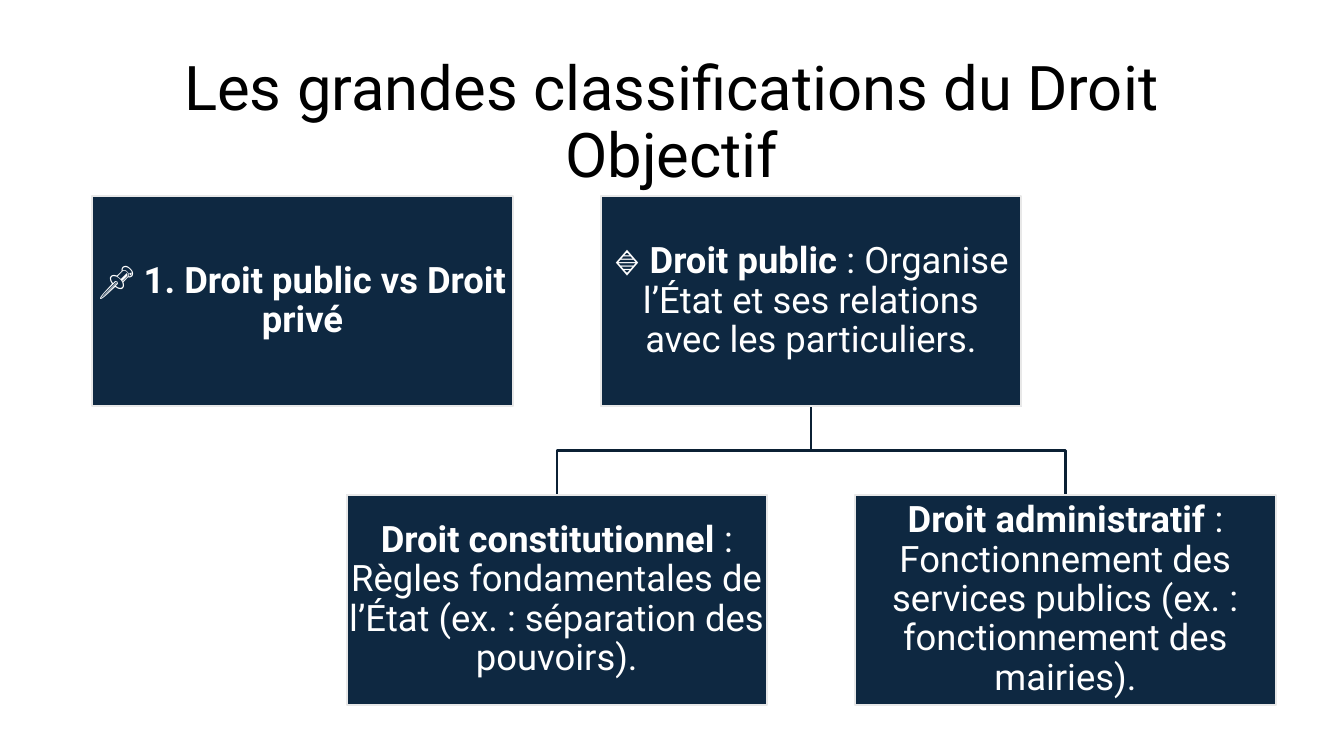
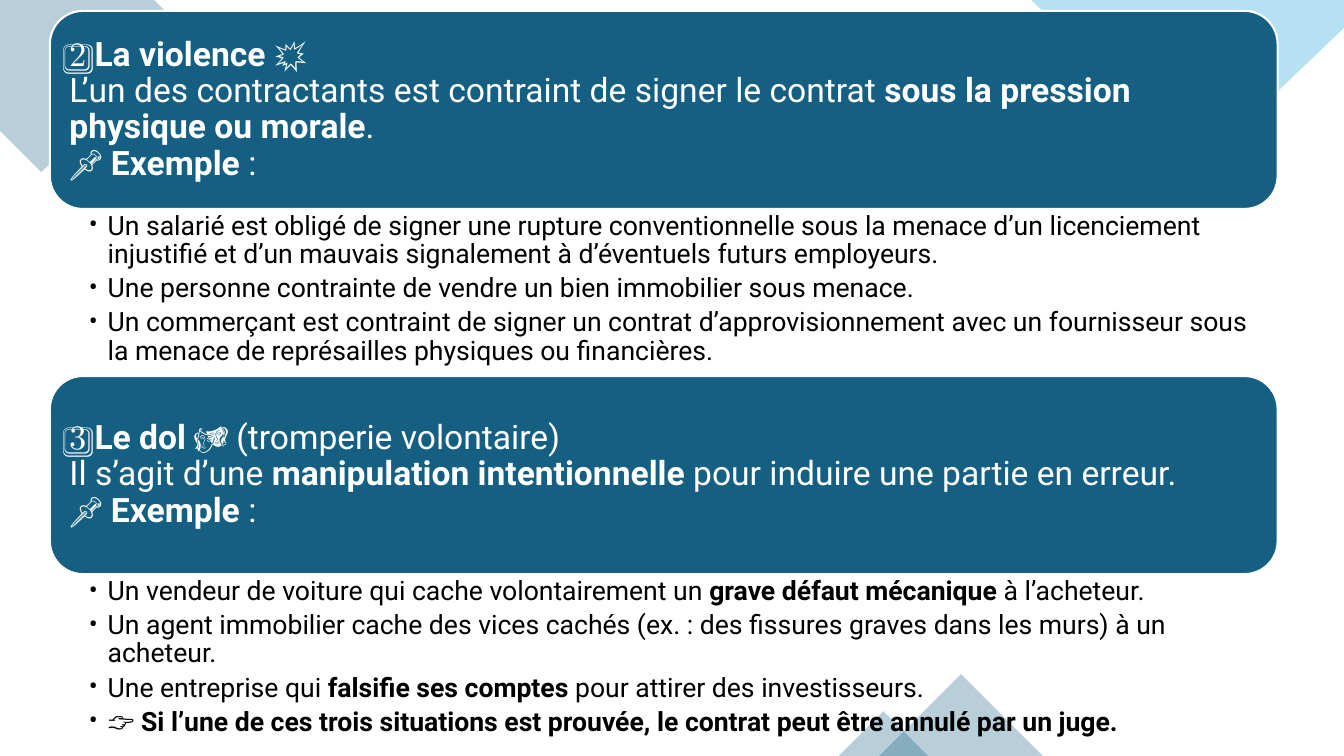
from lxml.etree import SubElement
from pptx import Presentation
from pptx.dml.color import RGBColor
from pptx.enum.shapes import MSO_SHAPE
from pptx.enum.text import MSO_ANCHOR, MSO_AUTO_SIZE, PP_ALIGN
from pptx.oxml.ns import qn
from pptx.util import Pt

BLACK = RGBColor(0x00, 0x00, 0x00)
WHITE = RGBColor(0xFF, 0xFF, 0xFF)
PALE_GREY = RGBColor(0xE8, 0xE8, 0xE8)
NAVY = RGBColor(0x0E, 0x28, 0x41)
DARK_NAVY = RGBColor(0x0B, 0x20, 0x34)
TEAL = RGBColor(0x15, 0x60, 0x82)
SKY = RGBColor(0x0F, 0x9E, 0xD5)

FONT = "Roboto"
TITLE_ONLY, BLANK = 5, 6

CARD_WIDTH, CARD_HEIGHT, CARD_PITCH = 300.3, 150, 363.3
CARD_LEFT, PARENT_TOP, CHILD_TOP = 66, 140.3, 353.4
BANNER_LEFT, BANNER_WIDTH, BANNER_HEIGHT = 35.6, 877, 141.5


def write(frame, text, size=19, color=BLACK, align=PP_ALIGN.LEFT,
          anchor=MSO_ANCHOR.TOP, insets=None, bullet=False, after=0):
    """Fill a text frame: a list gives paragraphs, ** toggles bold, \\n breaks a line."""
    frame.word_wrap = True
    frame.auto_size = MSO_AUTO_SIZE.NONE
    frame.vertical_anchor = anchor
    if insets:
        (frame.margin_left, frame.margin_top,
         frame.margin_right, frame.margin_bottom) = map(Pt, insets)
    for index, content in enumerate([text] if isinstance(text, str) else text):
        para = frame.add_paragraph() if index else frame.paragraphs[0]
        para.alignment = align
        para.line_spacing = 0.9
        para.space_after = Pt(after)
        if bullet:
            properties = para._p.get_or_add_pPr()
            properties.set("marL", str(Pt(13.5)))
            properties.set("indent", str(Pt(-13.5)))
            SubElement(properties, qn("a:buFont"), typeface=FONT)
            SubElement(properties, qn("a:buChar"), char="•")
        para.font.size = Pt(size)
        for part, span in enumerate(content.split("**")):
            for row, line in enumerate(span.split("\n")):
                if row:
                    para.add_line_break()
                if line:
                    run = para.add_run()
                    run.text = line
                    run.font.name = FONT
                    run.font.size = Pt(size)
                    run.font.color.rgb = color
                    run.font.bold = part % 2 == 1


class Deck:
    """Holds the presentation, its shared style and the current page."""

    def __init__(self):
        self.file = Presentation()
        self.file.slide_width, self.file.slide_height = Pt(960), Pt(540)
        self.page = None

    def add_page(self, layout):
        self.page = self.file.slides.add_slide(self.file.slide_layouts[layout])

    def title(self, text):
        box = self.page.shapes.title
        box.left, box.top, box.width, box.height = Pt(66), Pt(44), Pt(828), Pt(89)
        write(box.text_frame, text, size=44, align=PP_ALIGN.CENTER,
              anchor=MSO_ANCHOR.MIDDLE)

    def paint(self, shape, fill=None, outline=None, opacity=None):
        shape.shadow.inherit = False
        if fill is None:
            shape.fill.background()
        else:
            shape.fill.solid()
            shape.fill.fore_color.rgb = fill
        if opacity:
            color = shape._element.spPr.find(qn("a:solidFill"))[0]
            SubElement(color, qn("a:alpha"), val=str(opacity * 1000))
        if outline is None:
            shape.line.fill.background()
        else:
            shape.line.color.rgb = outline
            shape.line.width = Pt(1.5)

    def shape(self, kind, left, top, width, height, fill, **style):
        shape = self.page.shapes.add_shape(
            kind, Pt(left), Pt(top), Pt(width), Pt(height))
        self.paint(shape, fill, **style)
        return shape

    def outline(self, points, close=True, **style):
        """Draw a polygon, or an open bent line when close is False."""
        corners = [(Pt(x), Pt(y)) for x, y in points]
        builder = self.page.shapes.build_freeform(*corners[0])
        builder.add_line_segments(corners[1:], close=close)
        self.paint(builder.convert_to_shape(), **style)

    def card(self, left, top, text):
        box = self.shape(MSO_SHAPE.RECTANGLE, left, top, CARD_WIDTH, CARD_HEIGHT,
                         NAVY, outline=PALE_GREY)
        write(box.text_frame, text, size=26, color=WHITE, align=PP_ALIGN.CENTER,
              anchor=MSO_ANCHOR.MIDDLE, insets=(1.3,) * 4)

    def banner(self, top, text):
        box = self.shape(MSO_SHAPE.ROUNDED_RECTANGLE, BANNER_LEFT, top, BANNER_WIDTH,
                         BANNER_HEIGHT, TEAL, outline=WHITE)
        write(box.text_frame, text, size=24, color=WHITE,
              anchor=MSO_ANCHOR.MIDDLE, insets=(7.2,) * 4)

    def bullets(self, top, height, items):
        box = self.page.shapes.add_textbox(
            Pt(BANNER_LEFT), Pt(top), Pt(BANNER_WIDTH), Pt(height))
        write(box.text_frame, items, bullet=True, after=3.8,
              insets=(27.8, 2.2, 13.7, 2.2))


def add_classification_page(deck):
    deck.add_page(TITLE_ONLY)
    deck.title("Les grandes classifications du Droit Objectif")
    parent_left = CARD_LEFT + CARD_PITCH
    center = parent_left + CARD_WIDTH / 2
    parent_bottom = PARENT_TOP + CARD_HEIGHT
    bar_y = (parent_bottom + CHILD_TOP) / 2
    children = (
        (-0.5, "**Droit constitutionnel** : Règles fondamentales de l’État "
               "(ex. : séparation des pouvoirs)."),
        (0.5, "**Droit administratif** : Fonctionnement des services publics "
              "(ex. : fonctionnement des mairies)."),
    )
    for step, text in children:
        middle = center + step * CARD_PITCH
        deck.outline([(center, parent_bottom), (center, bar_y),
                      (middle, bar_y), (middle, CHILD_TOP)],
                     close=False, outline=DARK_NAVY)

    deck.card(CARD_LEFT, PARENT_TOP, "📌 **1. Droit public vs Droit privé**")
    deck.card(
        parent_left, PARENT_TOP,
        "🔹 **Droit public** : Organise l’État et ses relations avec les particuliers.")
    for step, text in children:
        deck.card(parent_left + step * CARD_PITCH, CHILD_TOP, text)


def add_consent_page(deck):
    deck.add_page(BLANK)
    deck.outline([(110, 0), (0, 0), (0, 93.5), (29.5, 123), (132, 21.5)],
                 fill=TEAL, opacity=30)
    deck.outline([(960, 0), (736.5, 0), (859, 116.5), (960, 20)],
                 fill=SKY, opacity=30)
    for left, width, height in ((628, 117, 58.5), (599, 64, 32)):
        deck.shape(MSO_SHAPE.ISOSCELES_TRIANGLE, left, 540 - height, width, height,
                   TEAL, opacity=30)

    sections = (
        (7.8, 119.5,
         "2️⃣ **La violence** 💥\n"
         "L’un des contractants est contraint de signer le contrat "
         "**sous la pression physique ou morale**.\n"
         "📌 **Exemple** :",
         ["Un salarié est obligé de signer une rupture conventionnelle sous la menace "
          "d’un licenciement injustifié et d’un mauvais signalement à d’éventuels "
          "futurs employeurs.",
          "Une personne contrainte de vendre un bien immobilier sous menace.",
          "Un commerçant est contraint de signer un contrat d’approvisionnement avec un "
          "fournisseur sous la menace de représailles physiques ou financières."]),
        (268.6, 106,
         "3️⃣ **Le dol** 🎭 (tromperie volontaire)\n"
         "Il s’agit d’une **manipulation intentionnelle** pour induire une partie "
         "en erreur.\n"
         "📌 **Exemple** :",
         ["Un vendeur de voiture qui cache volontairement un "
          "**grave défaut mécanique** à l’acheteur.",
          "Un agent immobilier cache des vices cachés (ex. : des fissures graves dans "
          "les murs) à un acheteur.",
          "Une entreprise qui **falsifie ses comptes** pour attirer des investisseurs.",
          "👉 **Si l’une de ces trois situations est prouvée, le contrat peut être "
          "annulé par un juge.**"]),
    )
    for top, body_height, heading, examples in sections:
        deck.banner(top, heading)
        deck.bullets(top + BANNER_HEIGHT, body_height, examples)


def main():
    deck = Deck()
    add_classification_page(deck)
    add_consent_page(deck)
    deck.file.save("out.pptx")


if __name__ == "__main__":
    main()
